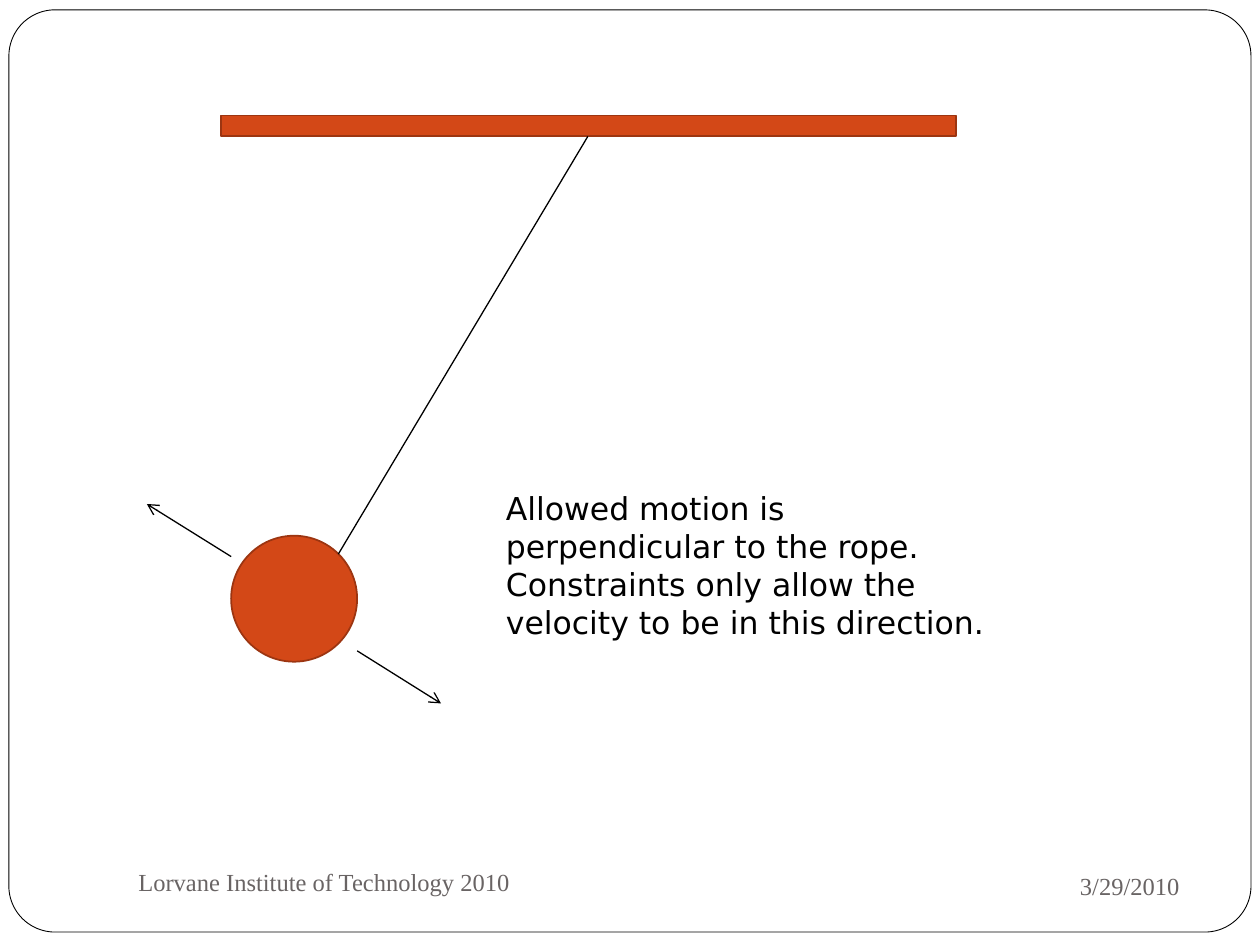
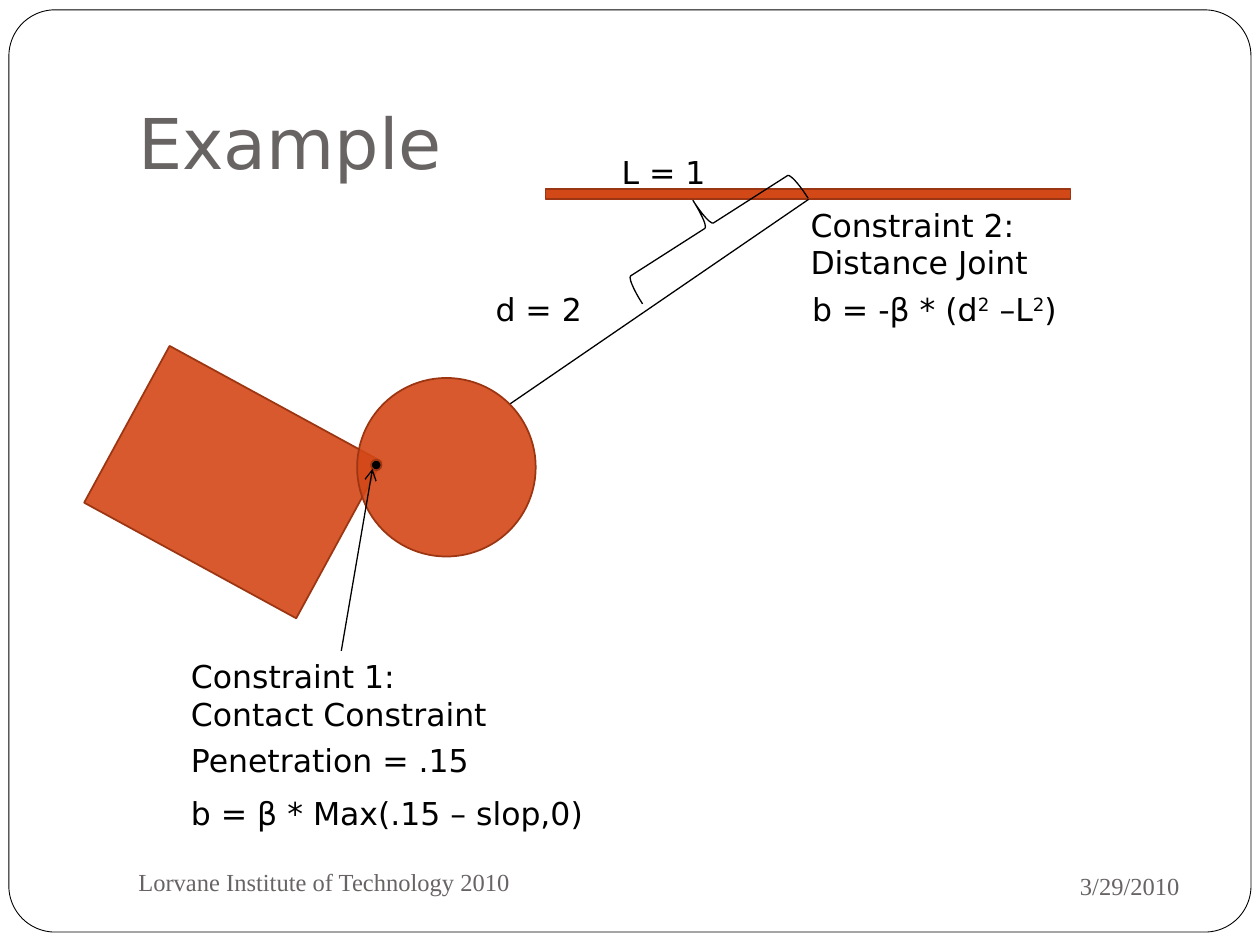
from lxml import etree
from pptx import Presentation
from pptx import util as u
from pptx.dml.color import RGBColor
from pptx.enum import shapes, text
from pptx.oxml.ns import qn

COLOURS = {
    "paper": "FFFFFF",
    "ink": "000000",
    "grey": "696464",
    "body": "D34817",
    "edge": "9C3511",
}
SANS, SERIF = "DejaVu Sans", "Times New Roman"
LABEL_HEIGHT = 1.03
SHAPE = shapes.MSO_SHAPE


def colour(name):
    return RGBColor.from_string(COLOURS[name])


def add_text(page, content, left, top, width, height=LABEL_HEIGHT, size=18, font=SANS,
             ink="ink", align=text.PP_ALIGN.LEFT, anchor=text.MSO_ANCHOR.TOP, bottom=0.13):
    """Each line is a paragraph; characters between carets are superscript."""
    box = page.shapes.add_textbox(*map(u.Cm, (left, top, width, height)))
    frame = box.text_frame
    frame.word_wrap = True
    frame.vertical_anchor = anchor
    frame.margin_bottom = u.Cm(bottom)
    for number, line in enumerate(content.split("\n")):
        para = frame.add_paragraph() if number else frame.paragraphs[0]
        para.alignment = align
        for index, piece in enumerate(line.split("^")):
            span = para.add_run()
            span.text = piece
            span.font.size = u.Pt(size)
            span.font.name = font
            span.font.color.rgb = colour(ink)
            if index % 2:
                span.font._element.set("baseline", "30000")


def add_figure(page, kind, left, top, width, height, fill="body", line="edge",
               weight=1, turn=0, opacity=100):
    figure = page.shapes.add_shape(kind, *map(u.Cm, (left, top, width, height)))
    figure.shadow.inherit = False
    figure.rotation = turn
    figure.line.color.rgb = colour(line)
    figure.line.width = u.Pt(weight)
    if fill is None:
        figure.fill.background()
        return figure
    figure.fill.solid()
    figure.fill.fore_color.rgb = colour(fill)
    if opacity < 100:
        tint = figure._element.spPr.find(qn("a:solidFill"))[0]
        etree.SubElement(tint, qn("a:alpha"), val=str(opacity * 1000))
    return figure


def add_line(page, start, end, arrow=False):
    line = page.shapes.add_connector(shapes.MSO_CONNECTOR.STRAIGHT,
                                     *map(u.Cm, (*start, *end)))
    line.line.color.rgb = colour("ink")
    line.line.width = u.Pt(0.75)
    properties = line._element.spPr
    if arrow:
        etree.SubElement(properties.find(qn("a:ln")), qn("a:tailEnd"), type="arrow")
    etree.SubElement(properties, qn("a:effectLst"))


def add_page(deck):
    """Add a blank slide with the rounded frame and the footer."""
    page = deck.slides.add_slide(deck.slide_layouts[6])
    frame = add_figure(page, SHAPE.ROUNDED_RECTANGLE, 0.18, 0.2, 25.04, 18.59,
                       fill="paper", line="ink", weight=0.5)
    frame.adjustments[0] = 0.05
    footer = dict(size=14, font=SERIF, ink="grey", anchor=text.MSO_ANCHOR.MIDDLE)
    add_text(page, "3/29/2010", 17.15, 17.2, 6.88, 1.32,
             align=text.PP_ALIGN.RIGHT, **footer)
    add_text(page, "Lorvane Institute of Technology 2010", 2.54, 17.15, 11, 1.27, **footer)
    return page


def add_pendulum_page(deck):
    page = add_page(deck)
    add_figure(page, SHAPE.RECTANGLE, 4.45, 2.33, 14.82, 0.42)
    add_figure(page, SHAPE.OVAL, 4.66, 10.8, 2.54, 2.54)
    add_line(page, (6.82, 11.17), (11.85, 2.75))
    add_line(page, (4.66, 11.22), (2.96, 10.16), arrow=True)
    add_line(page, (7.2, 13.12), (8.89, 14.18), arrow=True)
    add_text(page, "Allowed motion is perpendicular to the rope.\n"
             "Constraints only allow the velocity to be in this direction.",
             9.95, 9.74, 10.58, 3.33)


def add_example_page(deck):
    page = add_page(deck)
    add_text(page, "Example", 2.54, 0.76, 21.59, 3.18, size=40, ink="grey",
             anchor=text.MSO_ANCHOR.BOTTOM, bottom=0.25)
    add_figure(page, SHAPE.RECTANGLE, 2.26, 7.92, 4.87, 3.6, turn=28.6, opacity=90)
    add_figure(page, SHAPE.RECTANGLE, 11, 3.81, 10.58, 0.21)
    add_line(page, (10.27, 8.15), (16.3, 4.02))
    add_figure(page, SHAPE.RIGHT_BRACE, 13.69, 2.57, 1.21, 3.96, fill=None,
               line="ink", weight=0.75, turn=237.4)
    add_figure(page, SHAPE.OVAL, 7.2, 7.62, 3.6, 3.6, opacity=90)
    add_figure(page, SHAPE.OVAL, 7.48, 9.27, 0.21, 0.21, fill="ink")
    add_line(page, (6.88, 13.12), (7.51, 9.45), arrow=True)

    add_text(page, "Constraint 1:\nContact Constraint", 3.6, 13.12, 6.56, 1.8)
    add_text(page, "Penetration = .15", 3.6, 14.82, 6.35)
    add_text(page, "b = β * Max(.15 – slop,0)", 3.6, 15.88, 9.31)
    add_text(page, "Constraint 2:\nDistance Joint", 16.09, 4.02, 6.56, 1.8)
    add_text(page, "b = -β * (d^2^ –L^2^)", 16.12, 5.72, 5.93)
    add_text(page, "d = 2", 9.74, 5.72, 3.81)
    add_text(page, "L = 1", 12.28, 2.96, 3.81)


def main():
    deck = Presentation()
    deck.slide_width, deck.slide_height = u.Cm(25.4), u.Cm(19.05)
    add_pendulum_page(deck)
    add_example_page(deck)
    deck.save("out.pptx")


if __name__ == "__main__":
    main()
